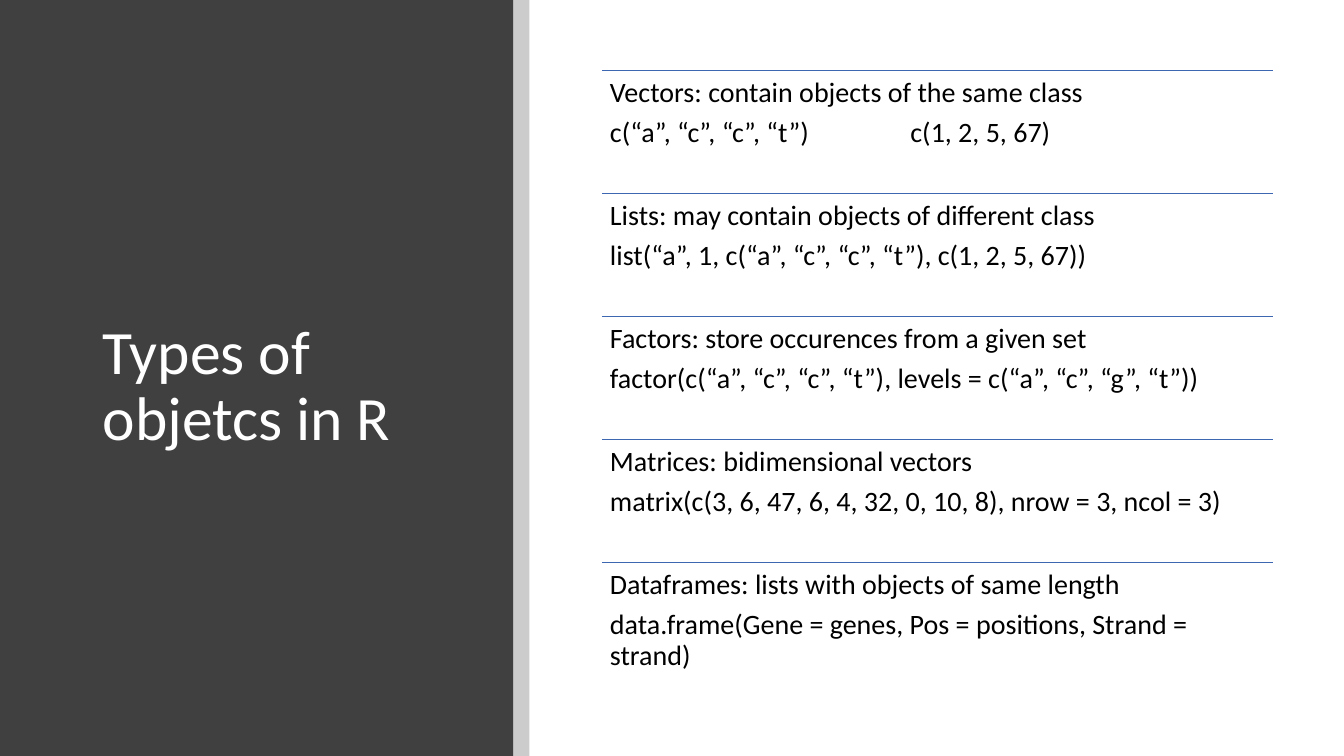
from lxml import etree
from pptx import Presentation
from pptx import util as u
from pptx.dml.color import RGBColor
from pptx.enum import shapes, text
from pptx.oxml.ns import qn

FONT = "Calibri"
DARK = RGBColor(0x40, 0x40, 0x40)
BLACK = RGBColor(0, 0, 0)
WHITE = RGBColor(0xFF, 0xFF, 0xFF)
BLUE = RGBColor(0x3E, 0x67, 0xB2)

# Grid in inches: a dark panel, a thin strip, and five equal rows
PANEL_W, STRIP_W, SLIDE_H = 5.09, 0.16, 7.5
LIST_X, LIST_Y, LIST_W, ROW_H = 5.97, 0.7, 6.66, 1.22
INSET = 0.08
SECOND_EXAMPLE = 2.98

OBJECT_TYPES = [
    ("Vectors: contain objects of the same class",
     "c(“a”, “c”, “c”, “t”)\tc(1, 2, 5, 67)"),
    ("Lists: may contain objects of different class",
     "list(“a”, 1, c(“a”, “c”, “c”, “t”), c(1, 2, 5, 67))"),
    ("Factors: store occurences from a given set",
     "factor(c(“a”, “c”, “c”, “t”), levels = c(“a”, “c”, “g”, “t”))"),
    ("Matrices: bidimensional vectors",
     "matrix(c(3, 6, 47, 6, 4, 32, 0, 10, 8), nrow = 3, ncol = 3)"),
    ("Dataframes: lists with objects of same length",
     "data.frame(Gene = genes, Pos = positions, Strand = strand)"),
]

prs = Presentation()
prs.slide_width, prs.slide_height = u.Inches(13.33), u.Inches(SLIDE_H)
s = prs.slides.add_slide(prs.slide_layouts[6])


def add_text(x, y, w, h, lines, size, color):
    tf = s.shapes.add_textbox(*map(u.Inches, (x, y, w, h))).text_frame
    tf.word_wrap = True
    tf.text = "\n".join(lines)
    for p in tf.paragraphs:
        p.line_spacing = 0.9
        for r in p.runs:
            r.font.name, r.font.size = FONT, u.Pt(size)
            r.font.color.rgb = color
    return tf


# Left panel and translucent strip
for x, w, color in ((0, PANEL_W, DARK), (PANEL_W, STRIP_W, BLACK)):
    sp = s.shapes.add_shape(shapes.MSO_SHAPE.RECTANGLE, u.Inches(x), 0,
                            u.Inches(w), prs.slide_height)
    sp.shadow.inherit = False
    sp.fill.solid()
    sp.fill.fore_color.rgb = color
    sp.line.fill.background()
strip_color = sp.fill._xPr.find(".//" + qn("a:srgbClr"))
etree.SubElement(strip_color, qn("a:alpha"), val="20000")

# Title
tf = add_text(0.92, 0.89, 3.65, 5.91, ["Types of objetcs in R"], 44, WHITE)
tf.vertical_anchor = text.MSO_ANCHOR.MIDDLE

# One ruled row per object type
for i, lines in enumerate(OBJECT_TYPES):
    y = LIST_Y + i * ROW_H
    rule = s.shapes.add_connector(
        shapes.MSO_CONNECTOR.STRAIGHT,
        *map(u.Inches, (LIST_X, y, LIST_X + LIST_W, y)))
    rule.line.color.rgb, rule.line.width = BLUE, u.Pt(1)
    etree.SubElement(rule._element.spPr, qn("a:effectLst"))

    tf = add_text(LIST_X, y, LIST_W, ROW_H, lines, 20, BLACK)
    tf.margin_left = tf.margin_right = u.Inches(INSET)
    tf.margin_top = tf.margin_bottom = u.Inches(INSET)
    for p in tf.paragraphs:
        p.space_after = u.Pt(7)
        if "\t" in p.text:
            tabs = etree.SubElement(p._p.get_or_add_pPr(), qn("a:tabLst"))
            etree.SubElement(tabs, qn("a:tab"), algn="l",
                             pos=str(u.Inches(SECOND_EXAMPLE)))

prs.save("out.pptx")
